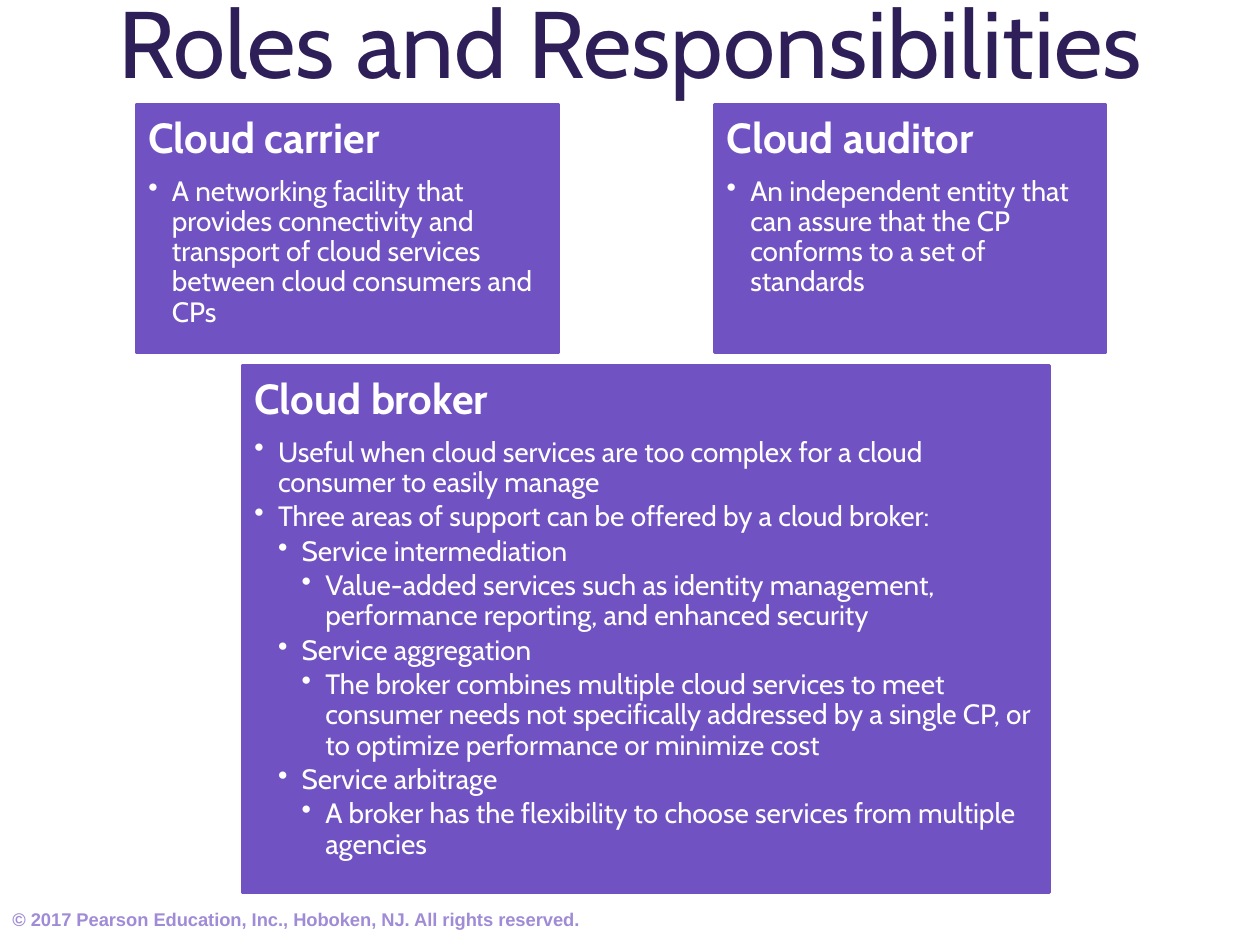
"""Build the slide on the roles of cloud carrier, auditor and broker."""
from dataclasses import dataclass

from lxml import etree
from pptx import Presentation
from pptx import util as u
from pptx.dml.color import RGBColor
from pptx.enum import shapes, text
from pptx.oxml import ns

INK, FILL, WHITE, PALE = "2F1F58", "7152C2", "FFFFFF", "A08BD6"
STEP = u.Cm(0.476)
PAD = u.Cm(0.25)


@dataclass
class Card:
    left: float
    top: float
    width: float
    height: float
    head: str
    items: list[tuple[int, str]]


CARDS = [
    Card(2.74, 2.11, 8.53, 5.0, "Cloud carrier", [
        (1, "A networking facility that provides connectivity and transport of "
            "cloud services between cloud consumers and CPs"),
    ]),
    Card(4.88, 7.37, 16.28, 10.62, "Cloud broker", [
        (1, "Useful when cloud services are too complex for a cloud consumer "
            "to easily manage"),
        (1, "Three areas of support can be offered by a cloud broker:"),
        (2, "Service intermediation"),
        (3, "Value-added services such as identity management, performance "
            "reporting, and enhanced security"),
        (2, "Service aggregation"),
        (3, "The broker combines multiple cloud services to meet consumer needs "
            "not specifically addressed by a single CP, or to optimize "
            "performance or minimize cost"),
        (2, "Service arbitrage"),
        (3, "A broker has the flexibility to choose services from multiple agencies"),
    ]),
    Card(14.4, 2.11, 7.9, 5.0, "Cloud auditor", [
        (1, "An independent entity that can assure that the CP conforms to a "
            "set of standards"),
    ]),
]


def paint(spot, tone: str) -> None:
    spot.rgb = RGBColor.from_string(tone)


def write(par, words: str, *, size: float, tone: str, face: str = "Cabin",
          bold: bool = False, align=text.PP_ALIGN.LEFT, lead=None,
          after: float = 0, level: int = 0) -> None:
    par.alignment = align
    par.line_spacing = lead
    par.space_after = u.Pt(after)
    if level:
        par.level = level
        props = par._p.get_or_add_pPr()
        props.set("marL", str(STEP * level))
        props.set("indent", str(-STEP))
        etree.SubElement(props, ns.qn("a:buChar")).set("char", "•")
    run = par.add_run()
    run.text = words
    run.font.name, run.font.size, run.font.bold = face, u.Pt(size), bold
    paint(run.font.color, tone)


def label(slide, left: float, top: float, width: float, height: float,
          words: str, **style) -> None:
    box = slide.shapes.add_textbox(*map(u.Cm, (left, top, width, height)))
    frame = box.text_frame
    frame.word_wrap = True
    frame.vertical_anchor = text.MSO_ANCHOR.MIDDLE
    write(frame.paragraphs[0], words, **style)


def draw(slide, card: Card) -> None:
    place = map(u.Cm, (card.left, card.top, card.width, card.height))
    box = slide.shapes.add_shape(shapes.MSO_SHAPE.RECTANGLE, *place)
    box.shadow.inherit = False
    box.fill.solid()
    paint(box.fill.fore_color, FILL)
    paint(box.line.color, FILL)
    box.line.width = u.Pt(1.5)
    frame = box.text_frame
    frame.word_wrap = True
    frame.vertical_anchor = text.MSO_ANCHOR.TOP
    frame.margin_left = frame.margin_right = PAD
    frame.margin_top = frame.margin_bottom = PAD
    write(frame.paragraphs[0], card.head, size=24, tone=WHITE, bold=True,
          lead=0.9, after=8.4)
    for level, words in card.items:
        write(frame.add_paragraph(), words, size=16, tone=WHITE, lead=0.9,
              after=2.4, level=level)


def main() -> None:
    deck = Presentation()
    deck.slide_width, deck.slide_height = u.Cm(25.4), u.Cm(19.05)
    slide = deck.slides.add_slide(deck.slide_layouts[6])
    label(slide, 0, -1.07, 25.4, 3.94, "Roles and Responsibilities", size=54,
          tone=INK, align=text.PP_ALIGN.CENTER, lead=u.Pt(60))
    for card in CARDS:
        draw(slide, card)
    label(slide, 0, 18.03, 17.15, 1.02,
          "© 2017 Pearson Education, Inc., Hoboken, NJ. All rights reserved.",
          size=10.5, tone=PALE, face="Arial", bold=True)
    deck.save("out.pptx")


if __name__ == "__main__":
    main()
